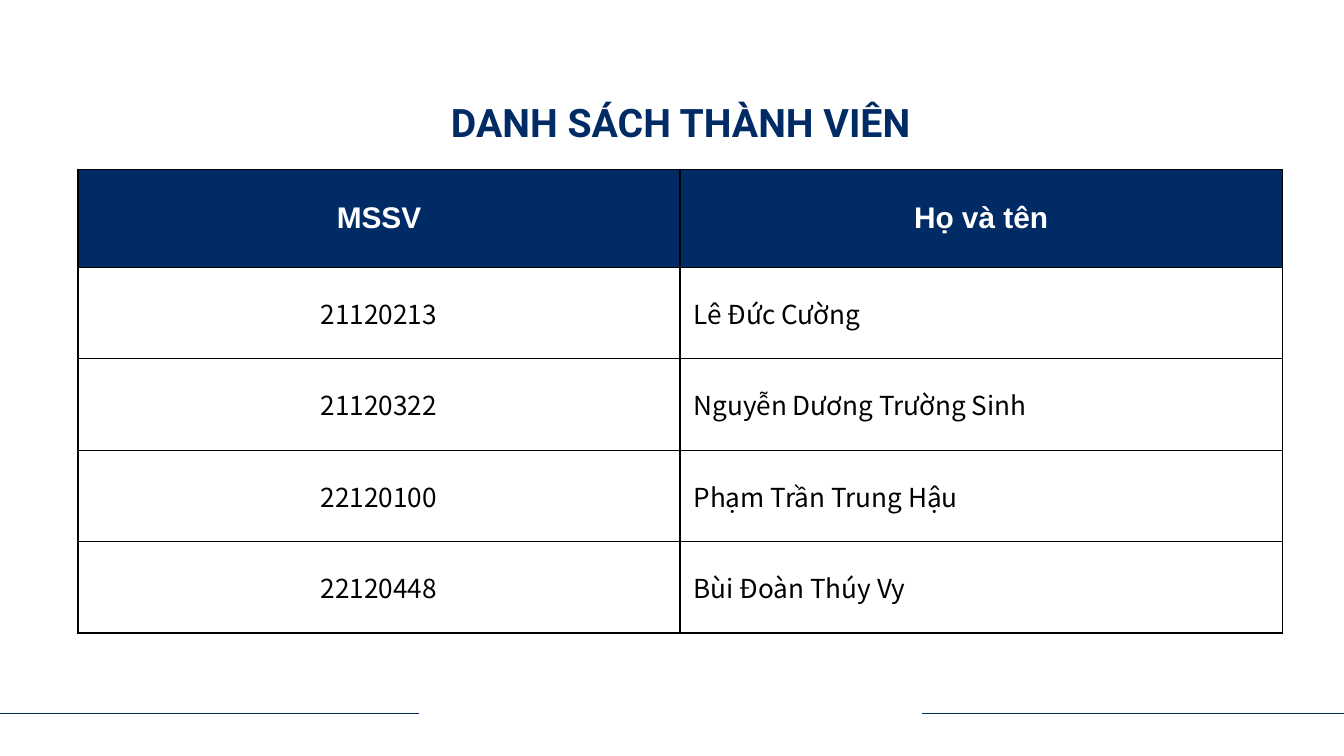
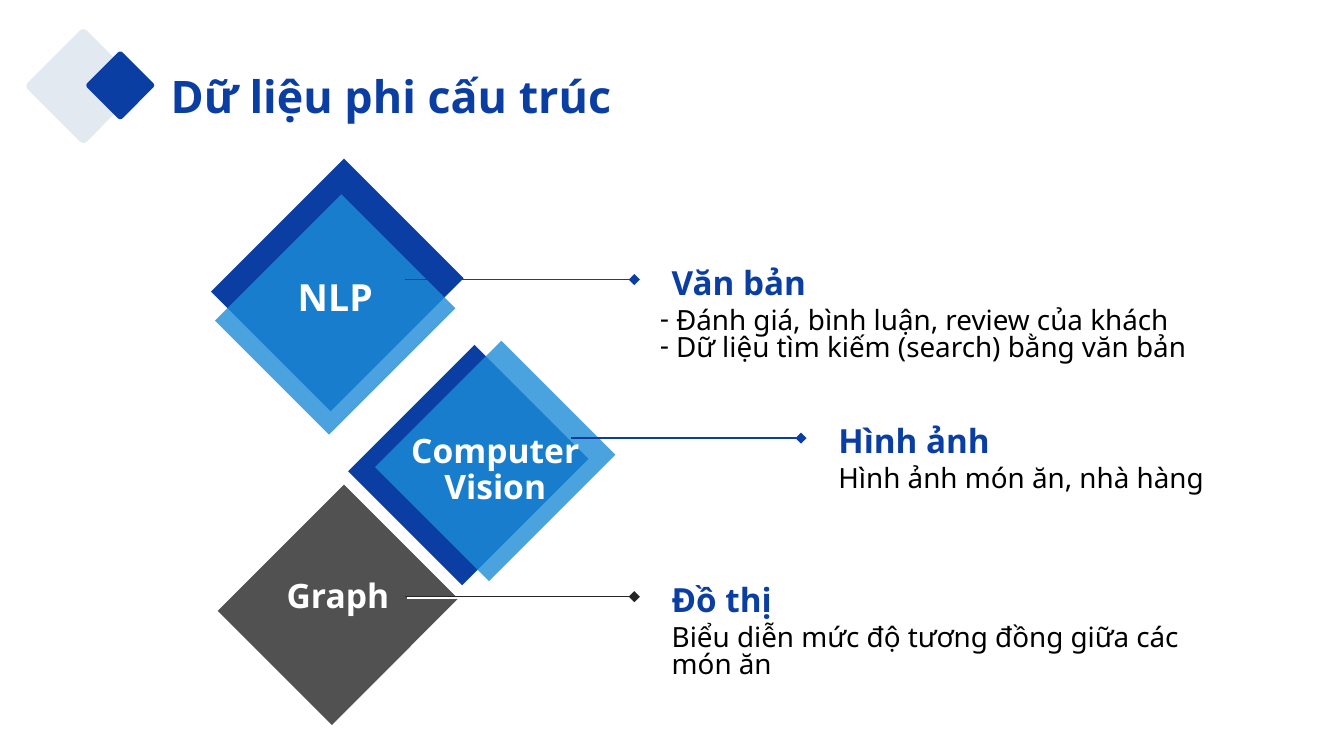
from dataclasses import dataclass
from typing import Optional

from lxml.etree import SubElement
from pptx import Presentation
from pptx.dml.color import RGBColor
from pptx.enum.shapes import MSO_CONNECTOR, MSO_SHAPE
from pptx.enum.text import MSO_ANCHOR, MSO_AUTO_SIZE, PP_ALIGN
from pptx.oxml.ns import qn
from pptx.util import Inches, Pt

NAVY = RGBColor(0x00, 0x2B, 0x65)
BLUE = RGBColor(0x0B, 0x3E, 0xA2)
SKY = RGBColor(0x1D, 0x8D, 0xD8)
PALE = RGBColor(0xE2, 0xE9, 0xF1)
DARK = RGBColor(0x26, 0x26, 0x26)
BLACK = RGBColor(0x00, 0x00, 0x00)
WHITE = RGBColor(0xFF, 0xFF, 0xFF)

SANS = "Noto Sans"
CJK = "Noto Sans CJK JP"
SLIDE_WIDTH = Inches(10)
SLIDE_HEIGHT = SLIDE_WIDTH * 9 // 16
LINE_WIDTH = Pt(0.75)
BULLET_INDENT = Inches(0.12)

MEMBERS = [
    ("21120213", "Lê Đức Cường"),
    ("21120322", "Nguyễn Dương Trường Sinh"),
    ("22120100", "Phạm Trần Trung Hậu"),
    ("22120448", "Bùi Đoàn Thúy Vy"),
]


@dataclass
class Diamond:
    x: float
    y: float
    w: float
    h: float
    color: RGBColor
    alpha: int = 100
    rounded: bool = False


@dataclass
class Label:
    text: str
    x: float
    y: float
    size: float = 18
    spacing: float = 1.0


@dataclass
class Pointer:
    x1: float
    x2: float
    y: float
    color: RGBColor


@dataclass
class Topic:
    heading: str
    x: float
    y: float
    heading_spacing: float = 1.0
    detail: Optional[str] = None
    detail_y: float = 0
    detail_w: float = 0


DIAMONDS = [
    Diamond(2.82, 2.86, 1.33, 1.2, BLUE),
    Diamond(1.81, 1.49, 1.4, 1.26, BLUE),
    Diamond(1.83, 1.74, 1.33, 1.2, SKY, 80),
    Diamond(1.85, 3.9, 1.33, 1.2, DARK, 80),
    Diamond(3.02, 2.83, 1.33, 1.2, SKY, 80),
    Diamond(0.31, 0.33, 0.62, 0.62, PALE, rounded=True),
    Diamond(0.71, 0.45, 0.37, 0.37, BLUE, rounded=True),
]
LABELS = [
    Label("NLP", 1.73, 2.04, size=20),
    Label("Computer Vision", 2.92, 3.23, spacing=0.9),
    Label("Graph", 1.75, 4.28),
]
POINTERS = [
    Pointer(3.01, 4.72, 2.08, BLUE),
    Pointer(3.03, 4.72, 4.45, WHITE),
    Pointer(4.25, 5.96, 3.26, BLUE),
    Pointer(3.01, 4.72, 4.44, DARK),
]
TOPICS = [
    Topic("Văn bản", 4.9, 1.9),
    Topic("Hình ảnh", 6.14, 3.08, detail="Hình ảnh món ăn, nhà hàng",
          detail_y=3.43, detail_w=3.06),
    Topic("Đồ thị", 4.9, 4.32, heading_spacing=0.8,
          detail="Biểu diễn mức độ tương đồng giữa các món ăn",
          detail_y=4.61, detail_w=4.3),
]
TEXT_DATA = [
    "Đánh giá, bình luận, review của khách",
    "Dữ liệu tìm kiếm (search) bằng văn bản",
]


def add_dash(p) -> None:
    pPr = p._p.get_or_add_pPr()
    pPr.set("marL", str(BULLET_INDENT))
    pPr.set("indent", str(-BULLET_INDENT))
    color = SubElement(SubElement(pPr, qn("a:buClr")), qn("a:srgbClr"))
    color.set("val", str(BLACK))
    SubElement(pPr, qn("a:buChar")).set("char", "-")


def write(tf, *lines: str, size: float, color: RGBColor = BLACK,
          font: str = SANS, bold: bool = False, align=PP_ALIGN.LEFT,
          spacing: float = 1.0, dash: bool = False) -> None:
    for i, line in enumerate(lines):
        p = tf.paragraphs[0] if i == 0 else tf.add_paragraph()
        if dash:
            add_dash(p)
        p.alignment = align
        p.line_spacing = spacing
        p.space_before = p.space_after = Pt(0)
        r = p.add_run()
        r.text = line
        r.font.name = font
        r.font.size = Pt(size)
        r.font.bold = bold
        r.font.color.rgb = color


def place(sp, x: float, y: float, w: float, h: float,
          inset_x: float = 0.1, inset_y: float = 0.05):
    sp.left, sp.top, sp.width, sp.height = map(Inches, (x, y, w, h))
    tf = sp.text_frame
    tf.word_wrap = True
    tf.auto_size = MSO_AUTO_SIZE.NONE
    tf.vertical_anchor = MSO_ANCHOR.TOP
    tf.margin_left = tf.margin_right = Inches(inset_x)
    tf.margin_top = tf.margin_bottom = Inches(inset_y)
    return tf


def add_text(slide, x: float, y: float, w: float, h: float,
             inset_x: float = 0.1, inset_y: float = 0.05):
    sp = slide.shapes.add_textbox(0, 0, 0, 0)
    return place(sp, x, y, w, h, inset_x, inset_y)


def add_line(slide, pointer: Pointer, diamond_end: bool = False) -> None:
    y = Inches(pointer.y)
    cx = slide.shapes.add_connector(
        MSO_CONNECTOR.STRAIGHT, Inches(pointer.x1), y, Inches(pointer.x2), y)
    cx.line.color.rgb = pointer.color
    cx.line.width = LINE_WIDTH
    spPr = cx._element.spPr
    if diamond_end:
        SubElement(spPr.find(qn("a:ln")), qn("a:tailEnd")).set("type", "diamond")
    SubElement(spPr, qn("a:effectLst"))


def add_diamond(slide, d: Diamond) -> None:
    preset = MSO_SHAPE.ROUNDED_RECTANGLE if d.rounded else MSO_SHAPE.RECTANGLE
    sp = slide.shapes.add_shape(preset, *map(Inches, (d.x, d.y, d.w, d.h)))
    sp.rotation = 315
    sp.shadow.inherit = False
    sp.line.fill.background()
    sp.fill.solid()
    sp.fill.fore_color.rgb = d.color
    if d.rounded:
        sp.adjustments[0] = 0.06
    if d.alpha < 100:
        color = sp._element.spPr.find(qn("a:solidFill"))[0]
        SubElement(color, qn("a:alpha")).set("val", str(d.alpha * 1000))


def add_borders(cell) -> None:
    tcPr = cell._tc.get_or_add_tcPr()
    for i, side in enumerate(("lnL", "lnR", "lnT", "lnB")):
        ln = tcPr.makeelement(qn(f"a:{side}"), {"w": str(LINE_WIDTH)})
        fill = SubElement(ln, qn("a:solidFill"))
        SubElement(fill, qn("a:srgbClr")).set("val", str(BLACK))
        tcPr.insert(i, ln)


def add_member_table(slide) -> None:
    rows = [("MSSV", "Họ và tên"), *MEMBERS]
    frame = slide.shapes.add_table(
        len(rows), 2, Inches(0.58), Inches(1.26), Inches(8.96), Inches(3.45))
    table = frame.table
    for i, row in enumerate(rows):
        header = i == 0
        table.rows[i].height = Inches(0.73 if header else 0.68)
        for j, text in enumerate(row):
            cell = table.cell(i, j)
            cell.vertical_anchor = MSO_ANCHOR.MIDDLE
            cell.margin_left = cell.margin_right = Inches(0.1)
            cell.margin_top = cell.margin_bottom = Inches(0.1)
            if header:
                cell.fill.solid()
                cell.fill.fore_color.rgb = NAVY
            else:
                cell.fill.background()
            add_borders(cell)
            write(cell.text_frame, text, size=16 if header else 14,
                  font="Arial" if header else CJK, bold=header,
                  color=WHITE if header else BLACK,
                  align=PP_ALIGN.CENTER if header or j == 0 else PP_ALIGN.LEFT)


def build_members(prs) -> None:
    slide = prs.slides.add_slide(prs.slide_layouts[5])
    tf = place(slide.shapes.title, 2.95, 0.63, 4.23, 0.56, inset_y=0.1)
    write(tf, "DANH SÁCH THÀNH VIÊN", size=21, font="Roboto", bold=True,
          color=NAVY, align=PP_ALIGN.CENTER)
    add_member_table(slide)
    for x1, x2 in ((-0.02, 3.12), (6.86, 10)):
        add_line(slide, Pointer(x1, x2, 5.31, NAVY))


def build_unstructured_data(prs) -> None:
    slide = prs.slides.add_slide(prs.slide_layouts[1])
    tf = place(slide.shapes.title, 1.27, 0.46, 6.81, 0.42, inset_x=0)
    write(tf, "Dữ liệu phi cấu trúc", size=24, bold=True, color=BLUE)
    tf = place(slide.placeholders[1], 4.81, 2.25, 4.39, 0.65)
    write(tf, *TEXT_DATA, size=14.9, spacing=0.8, dash=True)
    for d in DIAMONDS:
        add_diamond(slide, d)
    for label in LABELS:
        tf = add_text(slide, label.x, label.y, 1.53, 0.58, 0, 0)
        write(tf, label.text, size=label.size, bold=True, color=WHITE,
              align=PP_ALIGN.CENTER, spacing=label.spacing)
    for pointer in POINTERS:
        add_line(slide, pointer, diamond_end=True)
    for topic in TOPICS:
        tf = add_text(slide, topic.x, topic.y, 3.06, 0.35)
        write(tf, topic.heading, size=17.8, bold=True, color=BLUE,
              spacing=topic.heading_spacing)
        if topic.detail:
            tf = add_text(slide, topic.x, topic.detail_y, topic.detail_w, 0.54)
            write(tf, topic.detail, size=14.9, spacing=0.8)


def main() -> None:
    prs = Presentation()
    prs.slide_width = SLIDE_WIDTH
    prs.slide_height = SLIDE_HEIGHT
    build_members(prs)
    build_unstructured_data(prs)
    prs.save("out.pptx")


if __name__ == "__main__":
    main()
